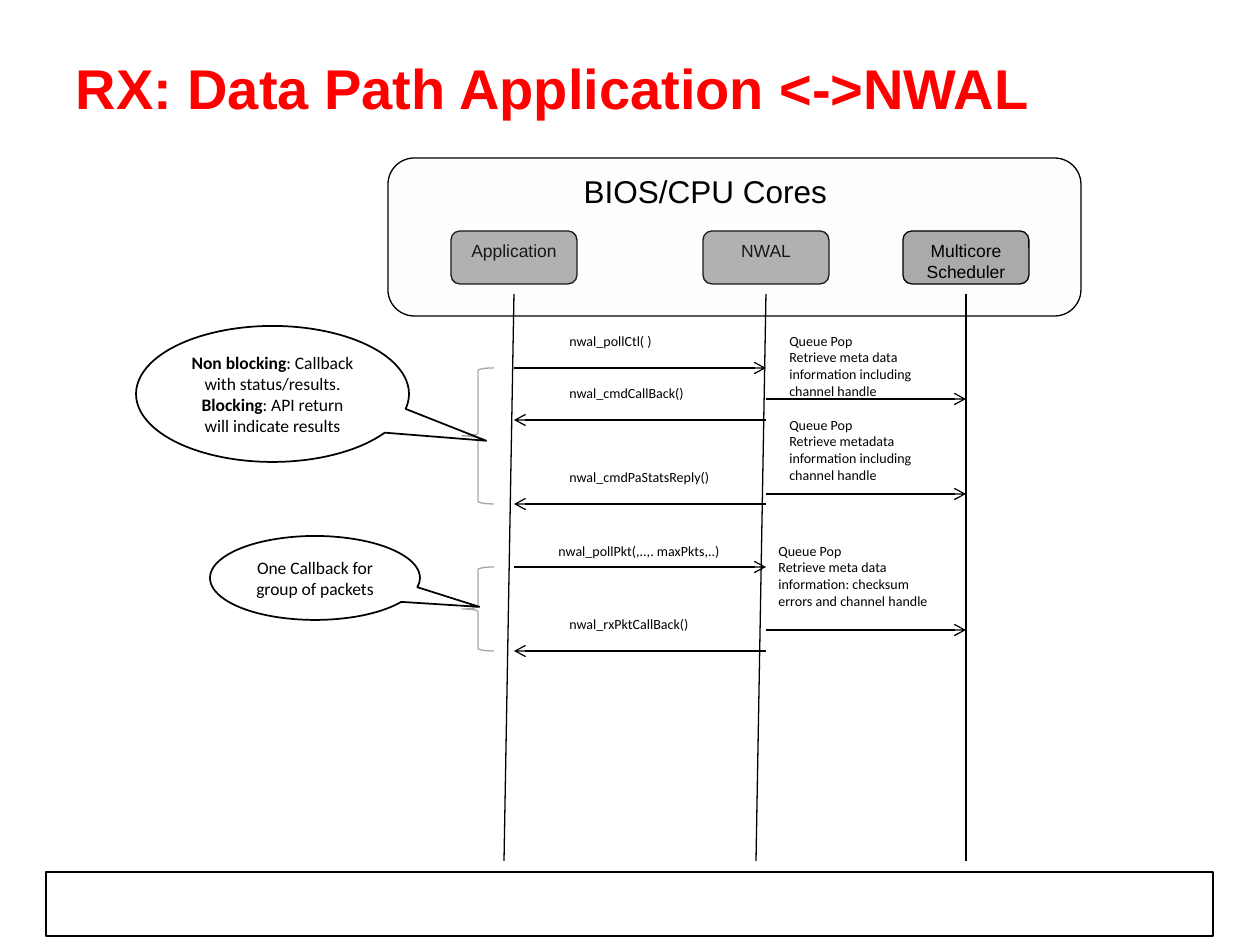
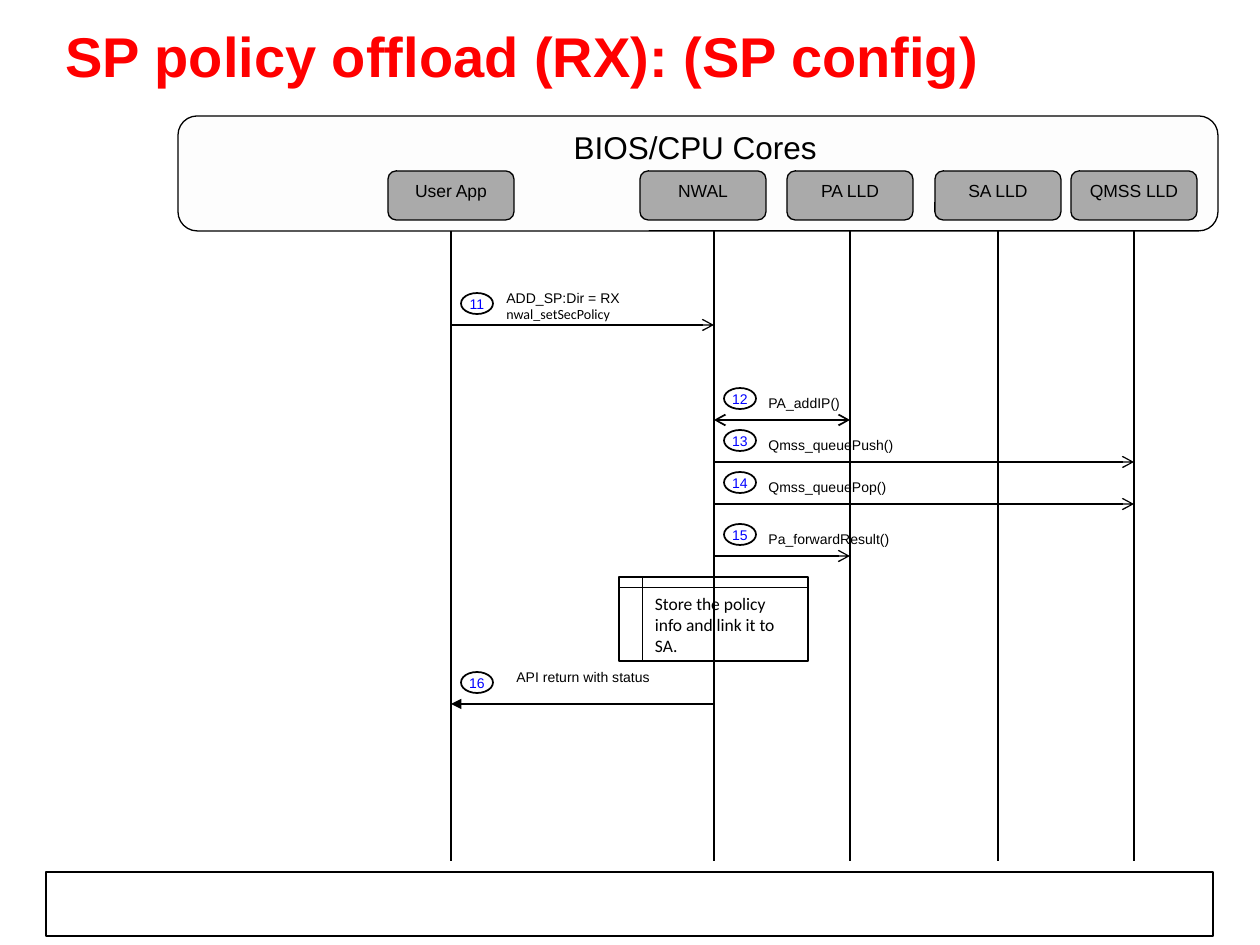
from pptx import Presentation
from pptx.dml.color import RGBColor
from pptx.enum.shapes import MSO_CONNECTOR as Link, MSO_SHAPE as Preset
from pptx.enum.text import MSO_ANCHOR as Anchor, PP_ALIGN as Align
from pptx.oxml.ns import qn
from pptx.oxml.xmlchemy import OxmlElement
from pptx.util import Emu, Pt

BLACK = RGBColor(0x00, 0x00, 0x00)
RED = RGBColor(0xFF, 0x00, 0x00)
BLUE = RGBColor(0x00, 0x00, 0xFF)
NODE_GREY = RGBColor(0xAA, 0xAA, 0xAA)
PANEL_GREY = RGBColor(0xF2, 0xF2, 0xF2)
BRACE_GREY = RGBColor(0xA6, 0xA6, 0xA6)

PX_PER_INCH = 126
LIFE_END = 861
NODE_WIDTH = 126


def px(length):
    return Emu(round(length * 914400 / PX_PER_INCH))


class SequenceDeck:
    """Holds the shared style and the slide being drawn."""

    def __init__(self):
        self.deck = Presentation()
        self.deck.slide_width, self.deck.slide_height = px(1260), px(945)
        self.slide = None

    def new_slide(self, title, left, top):
        self.slide = self.deck.slides.add_slide(self.deck.slide_layouts[5])
        self.shape(Preset.RECTANGLE, 46, 872, 1167, 64)  # footer band
        heading = self.slide.shapes.title
        heading.left, heading.top = px(left), px(top)
        heading.width, heading.height = px(1134), px(110)
        heading.text_frame.vertical_anchor = Anchor.MIDDLE
        self.set_text(heading, [title], 32, "Arial", RED, Align.LEFT, True)

    def set_text(self, shape, paragraphs, size, face, color=BLACK,
                 align=Align.LEFT, bold=None):
        """Each paragraph is a string or a list of (text, bold) runs."""
        frame = shape.text_frame
        frame.word_wrap = True
        for i, content in enumerate(paragraphs):
            paragraph = frame.paragraphs[0] if i == 0 else frame.add_paragraph()
            if isinstance(content, str):
                paragraph.text = content
            else:
                for text, strong in content:
                    run = paragraph.add_run()
                    run.text, run.font.bold = text, strong
            paragraph.alignment = align
            font = paragraph.font
            font.size, font.name, font.bold = Pt(size), face, bold
            font.color.rgb = color

    def shape(self, preset, x, y, width, height, line=BLACK, weight=0.75,
              fill=None):
        shape = self.slide.shapes.add_shape(
            preset, px(x), px(y), px(width), px(height))
        shape.shadow.inherit = False
        shape.line.color.rgb, shape.line.width = line, Pt(weight)
        if fill is None:
            shape.fill.background()
        else:
            shape.fill.solid()
            shape.fill.fore_color.rgb = fill
        return shape

    def panel(self, caption, x, y, width, height, indent):
        panel = self.shape(Preset.ROUNDED_RECTANGLE, x, y, width, height,
                           fill=PANEL_GREY)
        alpha = OxmlElement("a:alpha")
        alpha.set("val", "10000")
        panel._element.spPr.find(qn("a:solidFill"))[0].append(alpha)
        panel.text_frame.margin_left = px(indent)
        panel.text_frame.vertical_anchor = Anchor.TOP
        self.set_text(panel, [caption], 18, "Arial")

    def node(self, name, x, y, height):
        node = self.shape(Preset.ROUNDED_RECTANGLE, x, y, NODE_WIDTH, height,
                          fill=NODE_GREY)
        node.text_frame.margin_left = node.text_frame.margin_right = 0
        node.text_frame.vertical_anchor = Anchor.TOP
        self.set_text(node, [name], 10, "Arial", align=Align.CENTER)

    def line(self, x1, y1, x2, y2, weight=0.75, head=None, tail=None):
        line = self.slide.shapes.add_connector(
            Link.STRAIGHT, px(x1), px(y1), px(x2), px(y2))
        line.line.color.rgb, line.line.width = BLACK, Pt(weight)
        outline = line._element.spPr.find(qn("a:ln"))
        for tag, kind in (("a:headEnd", head), ("a:tailEnd", tail)):
            if kind:
                end = OxmlElement(tag)
                end.set("type", kind)
                outline.append(end)
        line._element.spPr.append(OxmlElement("a:effectLst"))

    def arrow(self, start, end, y, tail="arrow", **style):
        self.line(start, y, end, y, tail=tail, **style)

    def label(self, paragraphs, x, y, width, height, face="Calibri"):
        label = self.slide.shapes.add_textbox(
            px(x), px(y), px(width), px(height))
        self.set_text(label, paragraphs, 8, face)
        return label

    def callout(self, paragraphs, x, y, width, height):
        callout = self.shape(Preset.OVAL_CALLOUT, x, y, width, height, weight=1)
        callout.adjustments[0], callout.adjustments[1] = 0.783, 0.344
        callout.text_frame.vertical_anchor = Anchor.MIDDLE
        self.set_text(callout, paragraphs, 10, "Calibri", align=Align.CENTER)

    def brace(self, y, height):
        self.shape(Preset.LEFT_BRACE, 462, y, 32, height, line=BRACE_GREY)

    def badge(self, number, x, y):
        badge = self.shape(Preset.OVAL, x, y, 32, 21, weight=1)
        badge.text_frame.margin_left = badge.text_frame.margin_right = 0
        badge.text_frame.vertical_anchor = Anchor.MIDDLE
        self.set_text(badge, [str(number)], 8, "Arial", BLUE, Align.CENTER)

    def storage(self, text, x, y, width, height):
        storage = self.shape(Preset.FLOWCHART_INTERNAL_STORAGE,
                             x, y, width, height, weight=1)
        storage.text_frame.vertical_anchor = Anchor.MIDDLE
        self.set_text(storage, [text], 10, "Calibri")


def data_path_slide(deck):
    deck.new_slide("RX: Data Path Application <->NWAL", 63, 32)
    app, nwal, scheduler = 514, 766, 966

    # Participants and lifelines
    deck.node("Application", 451, 231, 53)
    deck.node("NWAL", 703, 231, 53)
    deck.panel("BIOS/CPU Cores", 388, 158, 693, 158, indent=188)
    deck.node("Multicore Scheduler", 903, 231, 53)
    for top, lean in ((app, 10), (nwal, 10), (scheduler, 0)):
        deck.line(top, 294, top - lean, LIFE_END)

    # Calls and callbacks between application and NWAL
    calls = [
        ("nwal_pollCtl( )", 557, 326, app, nwal, 368),
        ("nwal_cmdCallBack()", 557, 378, nwal, app, 420),
        ("nwal_cmdPaStatsReply()", 557, 462, nwal, app, 504),
        ("nwal_pollPkt(,..,. maxPkts,..)", 546, 536, app, nwal, 567),
        ("nwal_rxPktCallBack()", 557, 609, nwal, app, 651),
    ]
    for call, x, y, start, end, arrow_y in calls:
        deck.arrow(start, end, arrow_y)
        deck.label([call], x, y, 189, 53)

    # Queue pops
    pops = [
        ("Retrieve meta data information including channel handle",
         777, 326, 399),
        ("Retrieve metadata information including channel handle",
         777, 410, 494),
        ("Retrieve meta data information: checksum errors and channel handle",
         766, 536, 630),
    ]
    for action, x, y, arrow_y in pops:
        deck.arrow(nwal, scheduler, arrow_y)
        deck.label(["Queue Pop", action], x, y, 179, 84)

    # Remarks on the callbacks
    deck.brace(368, 136)
    deck.brace(567, 84)
    deck.callout(["One Callback for group of packets"], 210, 536, 210, 84)
    deck.callout(
        [[("Non blocking", True), (": Callback with status/results.", False)],
         [("Blocking", True), (": API return will indicate results", False)]],
        136, 326, 273, 136)


def policy_offload_slide(deck):
    deck.new_slide("SP policy offload (RX): (SP config)", 53, 0)
    app, nwal, pa, sa, qmss = 451, 714, 850, 998, 1134

    # Participants and lifelines
    deck.panel("BIOS/CPU Cores", 178, 116, 1040, 115, indent=390)
    nodes = [("User App", 388, app), ("NWAL", 640, nwal), ("PA LLD", 787, pa),
             ("SA LLD", 935, sa), ("QMSS LLD", 1071, qmss)]
    for name, x, lifeline in nodes:
        deck.node(name, x, 171, 49)
        deck.line(lifeline, 231, lifeline, LIFE_END)

    # Numbered steps: badge and label sit above the arrow
    deck.arrow(app, nwal, 325)
    deck.arrow(nwal, pa, 420, weight=1, head="arrow")
    deck.arrow(nwal, qmss, 462)
    deck.arrow(nwal, qmss, 504)
    deck.arrow(nwal, pa, 556)
    deck.arrow(nwal, app, 704, tail="triangle")
    steps = [
        (["ADD_SP:Dir = RX", "nwal_setSecPolicy"], app, 325, 43, 42),
        (["PA_addIP()"], nwal, 420, 42, 32),
        (["Qmss_queuePush()"], nwal, 462, 42, 32),
        (["Qmss_queuePop()"], nwal, 504, 42, 32),
        (["Pa_forwardResult()"], nwal, 556, 42, 32),
        (["API return with status"], app, 704, 53, 42),
    ]
    for number, (lines, lifeline, y, indent, rise) in enumerate(steps, 11):
        deck.badge(number, lifeline + 10, y - 32)
        label = deck.label(lines, lifeline + indent, y - rise,
                           199 if lifeline == app else 158, rise, "Arial")
        for function in label.text_frame.paragraphs[1:]:
            function.font.name = "Calibri"

    deck.storage("Store the policy info and link it to SA.", 619, 577, 189, 84)


def main():
    sequences = SequenceDeck()
    data_path_slide(sequences)
    policy_offload_slide(sequences)
    sequences.deck.save("out.pptx")


if __name__ == "__main__":
    main()
